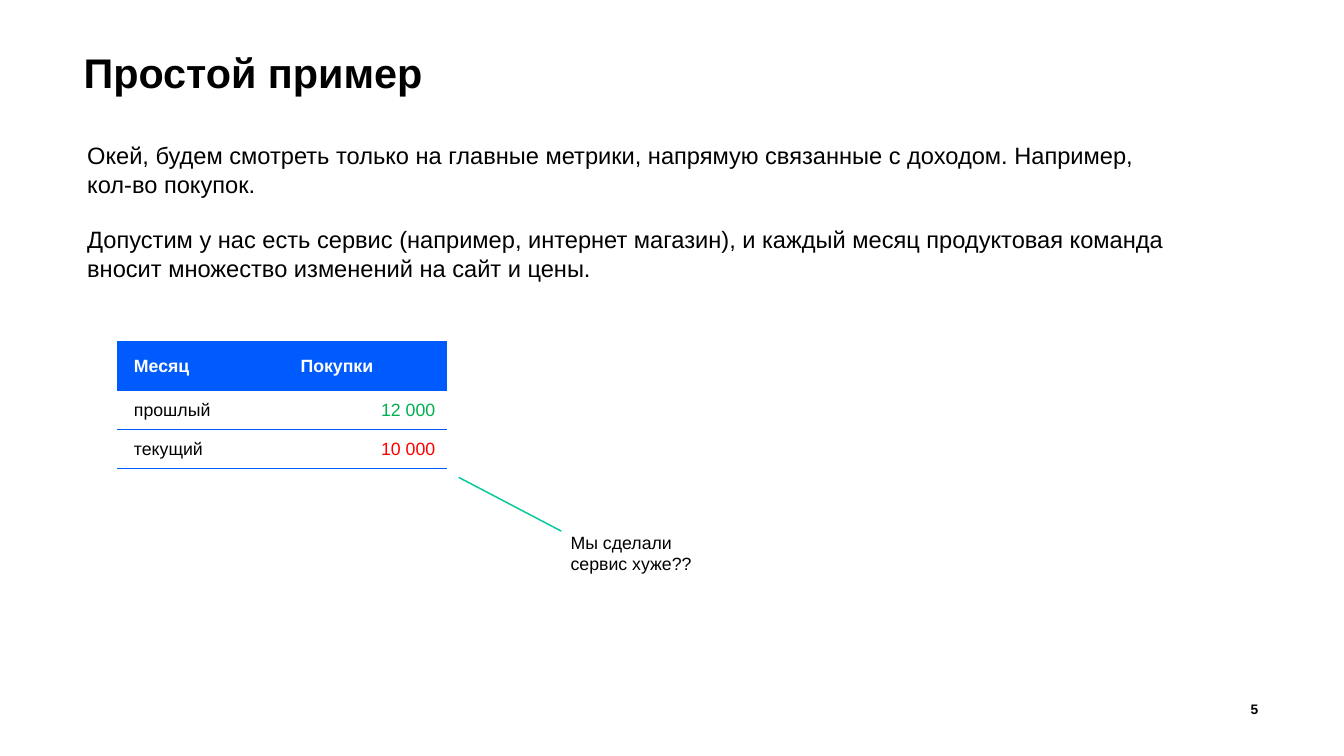
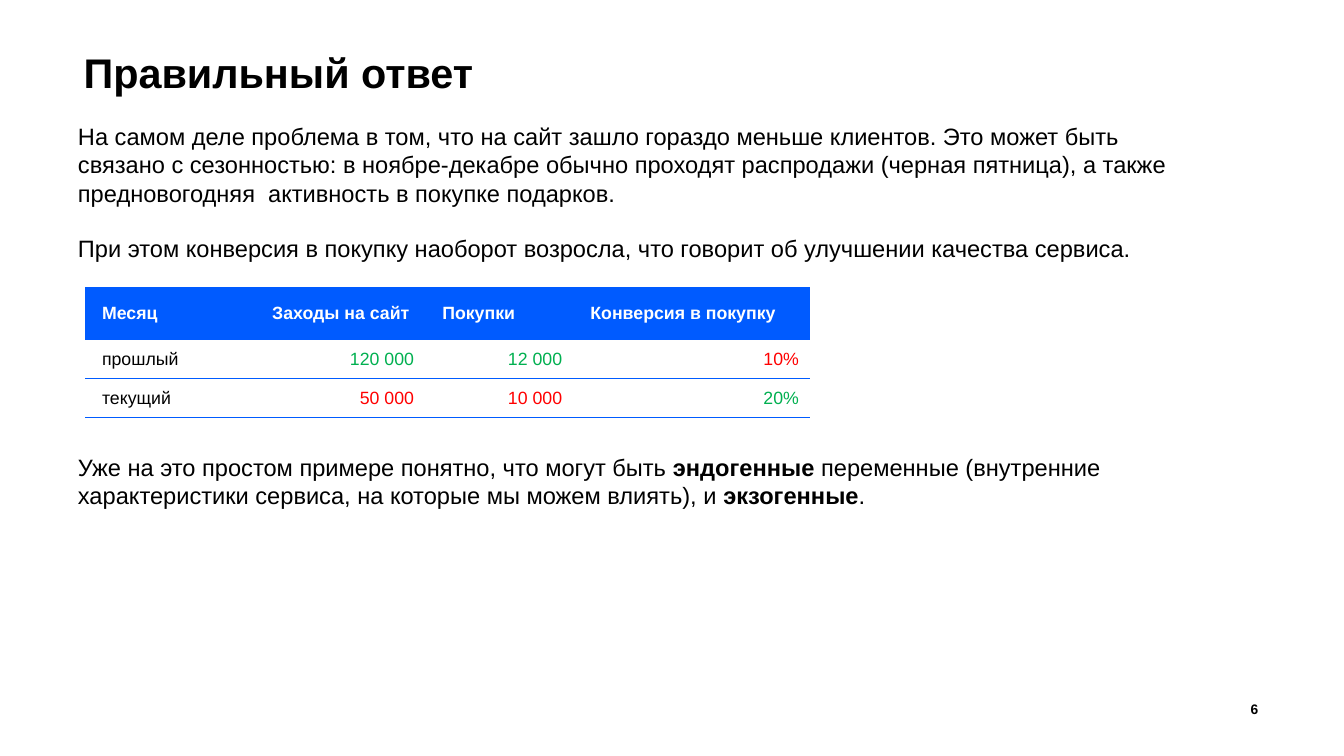
from dataclasses import dataclass

from lxml import etree
from pptx import Presentation
from pptx.dml.color import RGBColor
from pptx.enum import shapes, text
from pptx.oxml.ns import qn
from pptx.util import Inches, Pt


@dataclass(frozen=True)
class Theme:
    font: str = "Arial"
    ink: str = "000000"
    white: str = "FFFFFF"
    blue: str = "005BFF"
    teal: str = "06CA99"
    good: str = "00B050"
    bad: str = "FF0000"
    title: int = 42
    body: int = 24
    small: int = 18
    page: int = 14
    line: float = 1.5


T = Theme()
NO_GRID_STYLE = "{2D5ABB26-0587-4C30-8999-92F81FD0307C}"
BODY_ROW = 0.55

# A paragraph is a list of (text, bold) runs; a body cell is (text, colour).
SLIDES = [
    {
        "title": "Простой пример",
        "page": "5",
        "texts": [
            {"box": (1.23, 1.87, 15.39, 3.07), "size": T.body, "paragraphs": [
                [("Окей, будем смотреть только на главные метрики, напрямую связанные "
                  "с доходом. Например, кол-во покупок.", False)],
                [("Допустим у нас есть сервис (например, интернет магазин), и каждый "
                  "месяц продуктовая команда вносит множество изменений на сайт и цены.",
                  False)],
            ]},
            {"box": (8.05, 7.38, 1.96, 0.84), "size": T.small, "paragraphs": [
                [("Мы сделали сервис хуже??", False)],
            ]},
        ],
        "table": {
            "at": (1.65, 4.81),
            "columns": [2.35, 2.3],
            "header_height": 0.7,
            "header": ["Месяц", "Покупки"],
            "rows": [
                [("прошлый", T.ink), ("12 000", T.good)],
                [("текущий", T.ink), ("10 000", T.bad)],
            ],
        },
        "pointers": [(6.47, 6.73, 7.92, 7.49)],
    },
    {
        "title": "Правильный ответ",
        "page": "6",
        "texts": [
            {"box": (1.1, 1.6, 15.36, 2.26), "size": T.body, "paragraphs": [
                [("На самом деле проблема в том, что на сайт зашло гораздо меньше "
                  "клиентов. Это может быть связано с сезонностью: в ноябре-декабре "
                  "обычно проходят распродажи (черная пятница), а также "
                  "предновогодняя  активность в покупке подарков.", False)],
                [("При этом конверсия в покупку наоборот возросла, что говорит "
                  "об улучшении качества сервиса.", False)],
            ]},
            {"box": (1.1, 6.26, 15.36, 1.05), "size": T.body, "paragraphs": [
                [("Уже на это простом примере понятно, что могут быть ", False),
                 ("эндогенные ", True),
                 ("переменные (внутренние характеристики сервиса, на которые "
                  "мы можем влиять), и ", False),
                 ("экзогенные", True),
                 (".", False)],
            ]},
        ],
        "table": {
            "at": (1.2, 4.04),
            "columns": [2.4, 2.4, 2.09, 3.34],
            "header_height": 0.75,
            "header": ["Месяц", "Заходы на сайт", "Покупки", "Конверсия в покупку"],
            "rows": [
                [("прошлый", T.ink), ("120 000", T.good), ("12 000", T.good), ("10%", T.bad)],
                [("текущий", T.ink), ("50 000", T.bad), ("10 000", T.bad), ("20%", T.good)],
            ],
        },
        "pointers": [],
    },
]


def rgb(value):
    return RGBColor.from_string(value)


def set_font(p, size, color=T.ink, bold=None):
    p.font.name, p.font.size, p.font.bold = T.font, Pt(size), bold
    p.font.color.rgb = rgb(color)


def set_margins(target, left, top, right, bottom):
    target.margin_left, target.margin_top = Inches(left), Inches(top)
    target.margin_right, target.margin_bottom = Inches(right), Inches(bottom)


def add_frame(s, box, margins):
    tf = s.shapes.add_textbox(*map(Inches, box)).text_frame
    tf.word_wrap = True
    set_margins(tf, *margins)
    return tf


def add_title_and_page(s, title, page):
    p = add_frame(s, (1.18, 0.63, 16.6, 1.24), (0, 0.12, 0, 0)).paragraphs[0]
    p.text, p.line_spacing = title, 0.9
    set_font(p, T.title, bold=True)

    tf = add_frame(s, (16.79, 9.81, 1, 0.37), (0.04, 0, 0.04, 0.06))
    tf.vertical_anchor = text.MSO_ANCHOR.BOTTOM
    p = tf.paragraphs[0]
    p.text, p.alignment = page, text.PP_ALIGN.RIGHT
    set_font(p, T.page, bold=True)


def add_text(s, box, size, paragraphs):
    tf = add_frame(s, box, (0, 0.12, 0, 0.12))
    for i, runs in enumerate(paragraphs):
        p = tf.add_paragraph() if i else tf.paragraphs[0]
        set_font(p, size)
        if i:
            p.space_before = Pt(size * 1.15)
        for content, bold in runs:
            r = p.add_run()
            r.text = content
            if bold:
                r.font.bold = True


def underline_cell(cell):
    ln = etree.Element(qn("a:lnB"), w=str(Pt(T.line)))
    fill = etree.SubElement(ln, qn("a:solidFill"))
    etree.SubElement(fill, qn("a:srgbClr"), val=T.blue)
    cell._tc.get_or_add_tcPr().insert(0, ln)


def add_table(s, at, columns, header_height, header, rows):
    heights = [header_height] + [BODY_ROW] * len(rows)
    size = sum(columns), sum(heights)
    table = s.shapes.add_table(len(heights), len(columns),
                               *map(Inches, at + size)).table
    table.horz_banding = False
    table._tbl.tblPr.find(qn("a:tableStyleId")).text = NO_GRID_STYLE
    for column, width in zip(table.columns, columns):
        column.width = Inches(width)

    grid = [[(label, T.white) for label in header]] + rows
    for i, values in enumerate(grid):
        table.rows[i].height = Inches(heights[i])
        for j, (value, color) in enumerate(values):
            cell = table.cell(i, j)
            cell.vertical_anchor = text.MSO_ANCHOR.MIDDLE
            set_margins(cell, 0.24, 0.05, 0.16 if j else 0.39, 0.05)
            if i:
                cell.fill.background()
                underline_cell(cell)
            else:
                cell.fill.solid()
                cell.fill.fore_color.rgb = rgb(T.blue)
            p = cell.text_frame.paragraphs[0]
            p.text = value
            p.alignment = text.PP_ALIGN.RIGHT if i and j else text.PP_ALIGN.LEFT
            set_font(p, T.small, color, bold=i == 0)


def add_pointer(s, ends):
    line = s.shapes.add_connector(shapes.MSO_CONNECTOR.STRAIGHT, *map(Inches, ends))
    line.line.color.rgb, line.line.width = rgb(T.teal), Pt(T.line)
    etree.SubElement(line._element.spPr, qn("a:effectLst"))


def main():
    prs = Presentation()
    prs.slide_width, prs.slide_height = Inches(18.96), Inches(10.66)
    for content in SLIDES:
        s = prs.slides.add_slide(prs.slide_layouts[6])
        add_title_and_page(s, content["title"], content["page"])
        add_table(s, **content["table"])
        for ends in content["pointers"]:
            add_pointer(s, ends)
        for block in content["texts"]:
            add_text(s, **block)
    prs.save("out.pptx")


if __name__ == "__main__":
    main()
